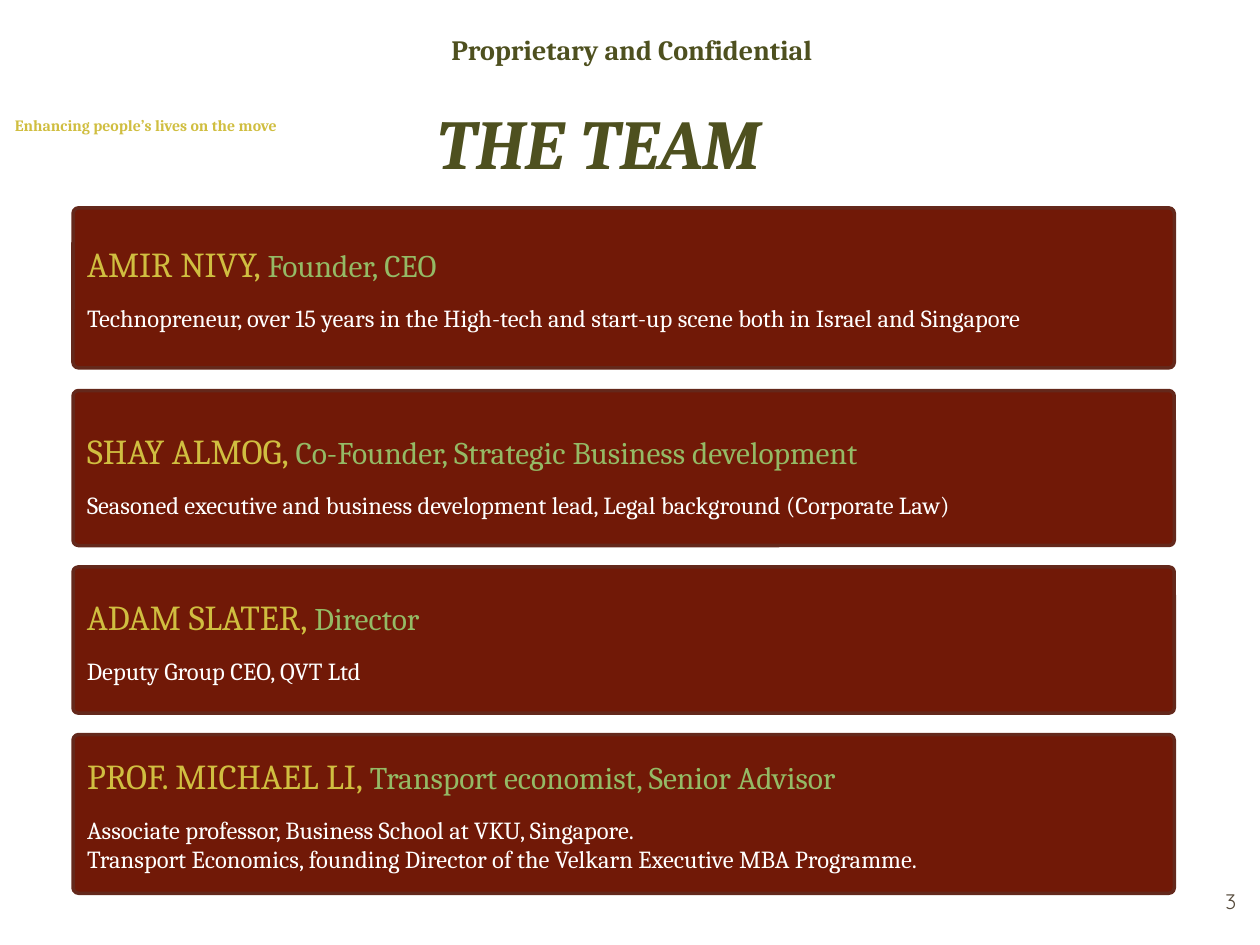
from dataclasses import dataclass

from pptx import Presentation
from pptx import util as u
from pptx.dml.color import RGBColor
from pptx.enum import shapes, text


@dataclass(frozen=True)
class Theme:
    serif: str = "Cambria"
    sans: str = "Quicksand"
    olive: str = "4E501F"
    gold: str = "D0BE40"
    green: str = "94BA65"
    white: str = "FFFFFF"
    brown: str = "564B3C"
    red: str = "711907"
    edge: str = "64281B"
    title: int = 40
    name: int = 20
    role: int = 18
    head: int = 16
    body: int = 14
    page: int = 12
    tag: int = 9
    gap: float = 10.5


class Deck:
    def __init__(self, theme):
        self.theme = theme
        self.prs = Presentation()
        self.prs.slide_width = u.Inches(10)
        self.prs.slide_height = u.Inches(7.5)
        self.slide = self.prs.slides.add_slide(self.prs.slide_layouts[6])

    def apply(self, item, values):
        for key, value in values.items():
            setattr(item, key, value)

    def run(self, para, words, size, color, **style):
        run = para.add_run()
        run.text = words
        style = {"name": self.theme.serif, "size": u.Pt(size), **style}
        self.apply(run.font, style)
        run.font.color.rgb = RGBColor.from_string(color)

    def label(self, box, words, size, color, align, anchor, **style):
        item = self.slide.shapes.add_textbox(*map(u.Inches, box))
        frame = item.text_frame
        self.apply(frame, {"word_wrap": True, "vertical_anchor": anchor})
        frame.paragraphs[0].alignment = align
        self.run(frame.paragraphs[0], words, size, color, **style)

    def card(self, top, height, name, role, lines, inset=0.05):
        t = self.theme
        box = map(u.Inches, (0.58, top, 8.74, height))
        item = self.slide.shapes.add_shape(
            shapes.MSO_SHAPE.ROUNDED_RECTANGLE, *box)
        item.adjustments[0] = 0.035
        item.shadow.inherit = False
        item.fill.solid()
        item.fill.fore_color.rgb = RGBColor.from_string(t.red)
        item.line.color.rgb = RGBColor.from_string(t.edge)
        item.line.width = u.Pt(2)
        frame = item.text_frame
        self.apply(frame, {
            "word_wrap": True,
            "vertical_anchor": text.MSO_ANCHOR.MIDDLE,
            "margin_top": u.Inches(inset),
        })
        para = frame.paragraphs[0]
        self.apply(para, {"alignment": text.PP_ALIGN.LEFT,
                          "space_after": u.Pt(t.gap)})
        self.run(para, name + ", ", t.name, t.gold)
        self.run(para, role, t.role, t.green)
        for line in lines:
            para = frame.add_paragraph()
            para.alignment = text.PP_ALIGN.LEFT
            self.run(para, line, t.body, t.white)


def main():
    t = Theme()
    deck = Deck(t)
    align, anchor = text.PP_ALIGN, text.MSO_ANCHOR
    deck.label((7.58, 6.95, 2.33, 0.4), "3", t.page, t.brown,
               align.RIGHT, anchor.MIDDLE, name=t.sans)
    deck.label((3.43, 0.21, 3.17, 0.52), "Proprietary and Confidential",
               t.head, t.olive, align.CENTER, anchor.TOP, bold=True)
    deck.label((0.02, 0.87, 2.36, 0.34),
               "Enhancing people’s lives on the move",
               t.tag, t.gold, align.LEFT, anchor.TOP, bold=True)
    deck.label((0.25, 0.5, 9, 1.25), "THE TEAM", t.title, t.olive,
               align.CENTER, anchor.MIDDLE, bold=True, italic=True)

    deck.card(1.65, 1.27, "AMIR NIVY", "Founder, CEO", [
        "Technopreneur, over 15 years in the High-tech and start-up scene "
        "both in Israel and Singapore"])
    deck.card(3.1, 1.23, "SHAY ALMOG",
              "Co-Founder, Strategic Business development", [
                  "Seasoned executive and business development lead, "
                  "Legal background (Corporate Law)"], inset=0.15)
    deck.card(4.5, 1.16, "ADAM SLATER", "Director",
              ["Deputy Group CEO, QVT Ltd"])
    deck.card(5.83, 1.26, "PROF. MICHAEL LI",
              "Transport economist, Senior Advisor", [
                  "Associate professor, Business School at VKU, Singapore.",
                  "Transport Economics, founding Director of the Velkarn "
                  "Executive MBA Programme."])
    deck.prs.save("out.pptx")


if __name__ == "__main__":
    main()
